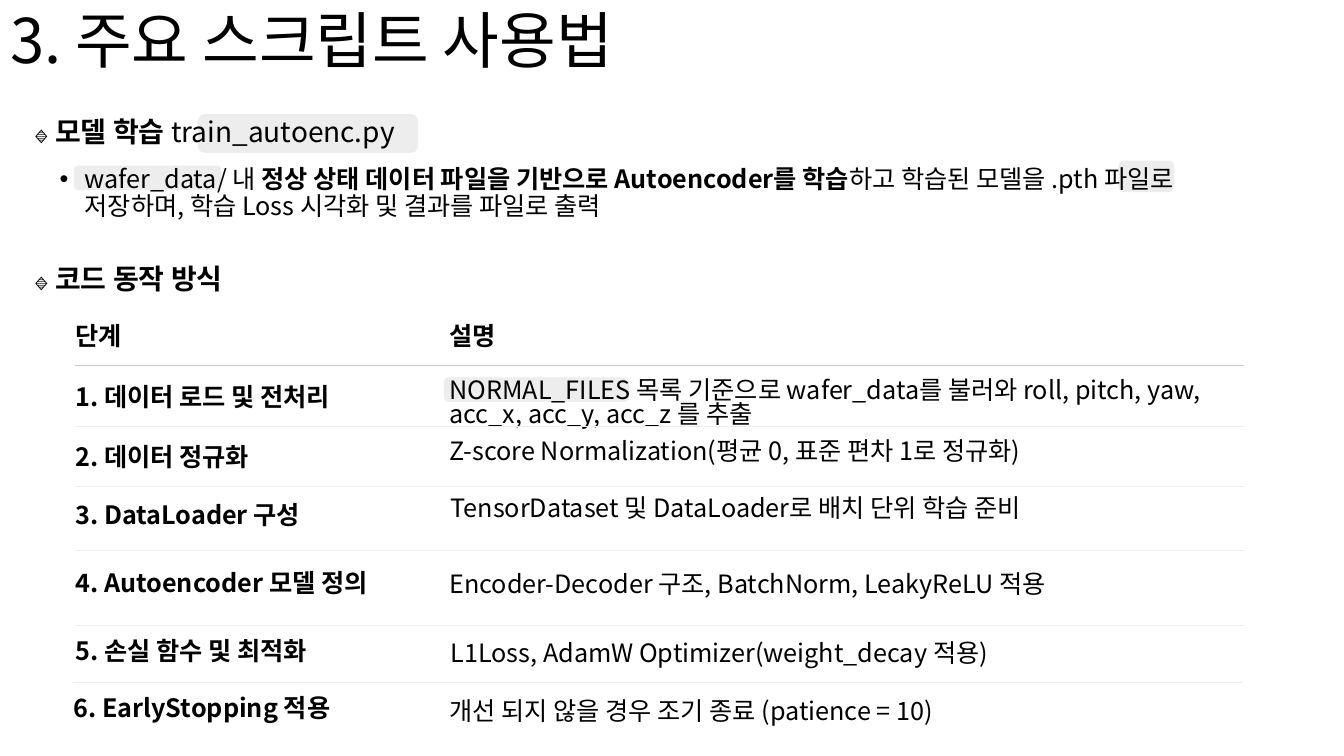
from dataclasses import dataclass

from lxml import etree
from pptx import Presentation
from pptx.dml.color import RGBColor
from pptx.enum import shapes, text
from pptx.oxml.ns import qn
from pptx.util import Inches, Pt


@dataclass(frozen=True)
class Theme:
    font: str = "Noto Sans CJK KR"
    ink: str = "000000"
    highlight: str = "EDEDED"
    header_rule: str = "C9C9C9"
    row_rule: str = "EDEDED"
    title: int = 44
    heading: int = 20
    body: int = 18
    marker: int = 14


class SlideBuilder:
    def __init__(self, page, theme):
        self.page = page
        self.theme = theme

    def fill_text(self, shape, spans, spacing=0.9):
        """Fill a shape with one paragraph of (text, size, bold) spans."""
        frame = shape.text_frame
        frame_format = {
            "word_wrap": True,
            "auto_size": text.MSO_AUTO_SIZE.NONE,
            "vertical_anchor": text.MSO_ANCHOR.TOP,
        }
        for name, value in frame_format.items():
            setattr(frame, name, value)
        para = frame.paragraphs[0]
        para_format = {
            "alignment": text.PP_ALIGN.LEFT,
            "line_spacing": spacing,
            "space_before": Pt(0),
        }
        for name, value in para_format.items():
            setattr(para, name, value)
        for words, size, bold in spans:
            span = para.add_run()
            span.text = words
            font_format = {"name": self.theme.font, "size": Pt(size), "bold": bold}
            for name, value in font_format.items():
                setattr(span.font, name, value)
            span.font.color.rgb = RGBColor.from_string(self.theme.ink)
            east_asian = etree.SubElement(span.font._element, qn("a:ea"))
            east_asian.set("typeface", self.theme.font)
        return para

    def place(self, shape, left, top, width, height):
        frame = {"left": left, "top": top, "width": width, "height": height}
        for name, value in frame.items():
            setattr(shape, name, Inches(value))

    def title(self, words, *frame):
        box = self.page.shapes.title
        self.place(box, *frame)
        self.fill_text(box, [(words, self.theme.title, False)])
        box.text_frame.vertical_anchor = text.MSO_ANCHOR.MIDDLE

    def bullet(self, spans, *frame):
        box = self.page.placeholders[1]
        self.place(box, *frame)
        para = self.fill_text(box, [(words, self.theme.body, bold) for words, bold in spans])
        properties = para._p.get_or_add_pPr()
        properties.set("marL", str(Inches(0.25)))
        properties.set("indent", str(Inches(-0.25)))
        etree.SubElement(properties, qn("a:buChar")).set("char", "•")

    def label(self, spans, left, top, width, height, spacing=0.9):
        box = self.page.shapes.add_textbox(*map(Inches, (left, top, width, height)))
        self.fill_text(box, spans, spacing)

    def heading(self, words, left, top, width, height, script=""):
        spans = [("🔹", self.theme.marker, False), (words, self.theme.heading, True)]
        if script:
            spans.append((script, self.theme.heading, False))
        self.label(spans, left, top, width, height)

    def highlight(self, *frame):
        """Add a grey rounded block behind all text."""
        block = self.page.shapes.add_shape(
            shapes.MSO_SHAPE.ROUNDED_RECTANGLE, *map(Inches, frame))
        grey = RGBColor.from_string(self.theme.highlight)
        block.shadow.inherit = False
        block.fill.solid()
        block.fill.fore_color.rgb = grey
        block.line.color.rgb = grey
        block.line.width = Pt(1)
        block._element.getparent().insert(2, block._element)

    def rule(self, left, top, width, color):
        line = self.page.shapes.add_connector(
            shapes.MSO_CONNECTOR.STRAIGHT,
            *map(Inches, (left, top, left + width, top)))
        line.line.color.rgb = RGBColor.from_string(color)
        line.line.width = Pt(0.5)
        etree.SubElement(line._element.spPr, qn("a:effectLst"))


HIGHLIGHTS = [
    (1.97, 1.14, 2.17, 0.37),
    (0.74, 1.65, 1.45, 0.23),
    (11.1, 1.6, 0.54, 0.3),
    (4.41, 3.75, 1.82, 0.23),
]

# step, left, top; description, left, top; line spacing of the description
STEPS = [
    ("단계", 0.65, 3.16, "설명", 4.36, 3.16, 0.9),
    ("1. 데이터 로드 및 전처리", 0.65, 3.77,
     "NORMAL_FILES 목록 기준으로 wafer_data를 불러와 roll, pitch, yaw, "
     "acc_x, acc_y, acc_z 를 추출", 4.36, 3.72, 0.8),
    ("2. 데이터 정규화", 0.65, 4.36,
     "Z-score Normalization(평균 0, 표준 편차 1로 정규화)", 4.36, 4.3, 0.9),
    ("3. DataLoader 구성", 0.65, 4.94,
     "TensorDataset 및 DataLoader로 배치 단위 학습 준비", 4.37, 4.87, 0.9),
    ("4. Autoencoder 모델 정의", 0.65, 5.61,
     "Encoder-Decoder 구조, BatchNorm, LeakyReLU 적용", 4.36, 5.62, 0.9),
    ("5. 손실 함수 및 최적화", 0.65, 6.29,
     "L1Loss, AdamW Optimizer(weight_decay 적용)", 4.37, 6.31, 0.9),
    ("6. EarlyStopping 적용", 0.63, 6.85,
     "개선 되지 않을 경우 조기 종료 (patience = 10)", 4.36, 6.88, 0.9),
]

RULES = [(0.74, 3.62), (0.74, 4.23), (0.74, 4.83), (0.74, 5.46), (0.74, 6.2), (0.72, 6.77)]


def main():
    deck = Presentation()
    deck.slide_width, deck.slide_height = Inches(13.33), Inches(7.5)
    theme = Theme()
    slide = SlideBuilder(deck.slides.add_slide(deck.slide_layouts[1]), theme)

    slide.title("3. 주요 스크립트 사용법", 0, 0, 11.5, 0.87)
    slide.heading(" 모델 학습 ", 0.24, 1.12, 6.81, 0.48, script="train_autoenc.py")
    slide.bullet([
        ("wafer_data/ 내 ", False),
        ("정상 상태 데이터 파일을 기반으로 Autoencoder를 학습", True),
        ("하고 학습된 모델을 .pth 파일로 저장하며, 학습 Loss 시각화 및 결과를 파일로 출력", False),
    ], 0.49, 1.6, 11.78, 1.28)
    slide.heading(" 코드 동작 방식", 0.24, 2.58, 5.37, 0.48)

    for index, row in enumerate(STEPS):
        step, step_left, step_top, detail, detail_left, detail_top, spacing = row
        is_header = index == 0
        slide.label([(step, theme.body, True)], step_left, step_top, 3.71, 0.59)
        slide.label([(detail, theme.body, is_header)],
                    detail_left, detail_top, 8.12, 0.59, spacing)
    for index, (left, top) in enumerate(RULES):
        slide.rule(left, top, 11.6, theme.row_rule if index else theme.header_rule)
    for frame in HIGHLIGHTS:
        slide.highlight(*frame)

    deck.save("out.pptx")


if __name__ == "__main__":
    main()
